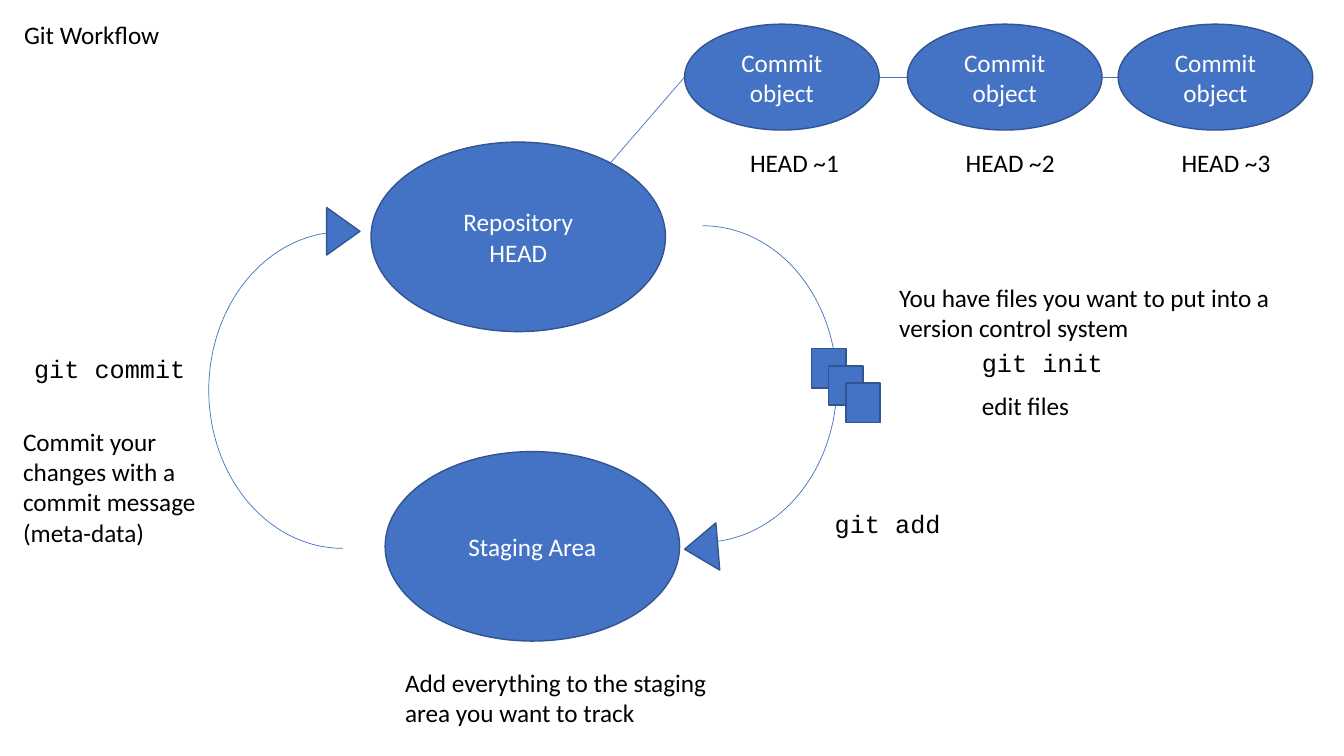
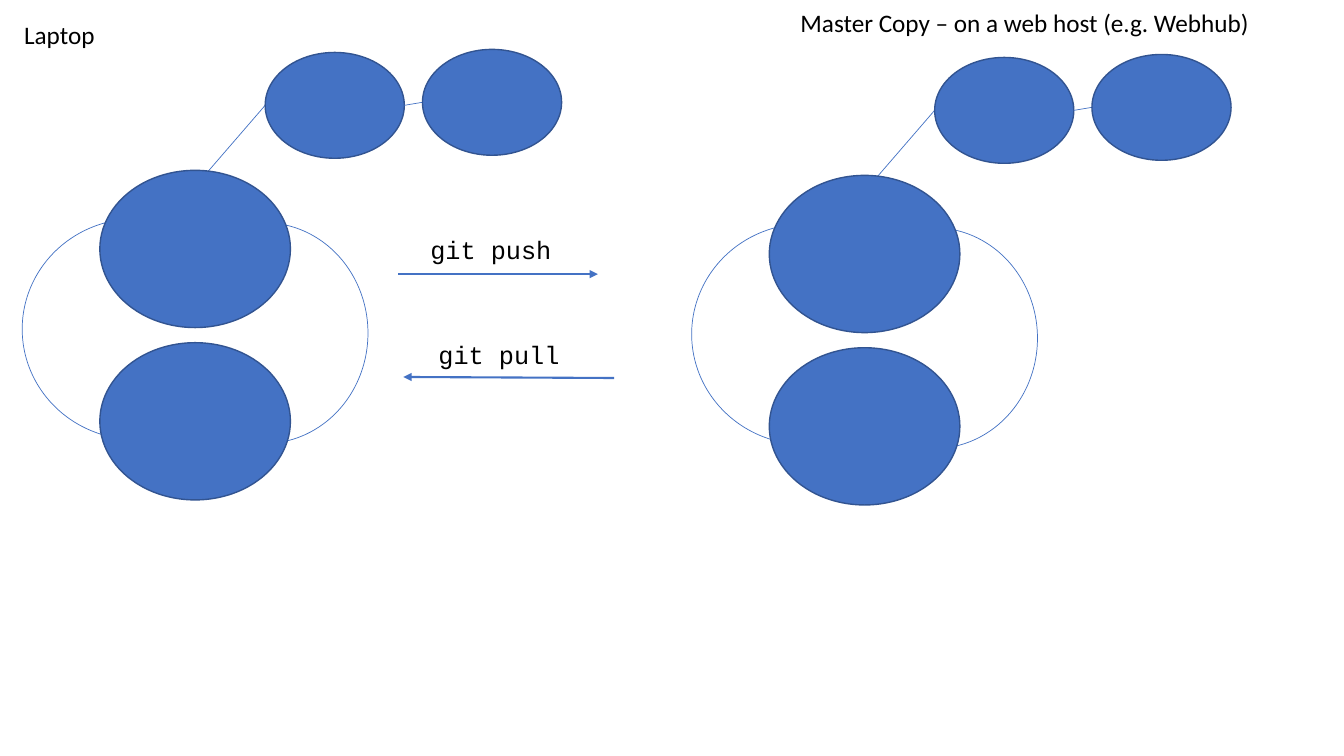
from dataclasses import dataclass

from lxml import etree
from pptx import Presentation
from pptx.dml.color import RGBColor
from pptx.enum.shapes import MSO_CONNECTOR, MSO_SHAPE
from pptx.enum.text import MSO_ANCHOR, MSO_AUTO_SIZE, PP_ALIGN
from pptx.oxml.ns import qn
from pptx.util import Inches, Pt

OVAL, ARC, RECT = MSO_SHAPE.OVAL, MSO_SHAPE.ARC, MSO_SHAPE.RECTANGLE
WEDGE = MSO_SHAPE.ISOSCELES_TRIANGLE
STRAIGHT = MSO_CONNECTOR.STRAIGHT
LEFT, CENTER = PP_ALIGN.LEFT, PP_ALIGN.CENTER
MIDDLE = MSO_ANCHOR.MIDDLE
GROW = MSO_AUTO_SIZE.SHAPE_TO_FIT_TEXT


# Look shared by both slides
@dataclass(frozen=True)
class Theme:
    blue: RGBColor = RGBColor(0x44, 0x72, 0xC4)
    edge: RGBColor = RGBColor(0x32, 0x54, 0x91)
    black: RGBColor = RGBColor(0, 0, 0)
    white: RGBColor = RGBColor(0xFF, 0xFF, 0xFF)
    sans: str = "Calibri"
    mono: str = "Courier New"
    size: float = 18
    thin: float = 0.5
    rim: float = 1
    bold: float = 1.5


THEME = Theme()


@dataclass(frozen=True)
class Box:
    x: float
    y: float
    w: float
    h: float

    @property
    def mid(self) -> float:
        return self.y + self.h / 2

    @property
    def right(self) -> float:
        return self.x + self.w

    def shift(self, dx: float, dy: float) -> "Box":
        return Box(self.x + dx, self.y + dy, self.w, self.h)

    def sides(self) -> tuple:
        return tuple(Inches(n) for n in (self.x, self.y, self.w, self.h))


@dataclass(frozen=True)
class Label:
    text: str
    x: float
    y: float
    w: float
    h: float = 0.4
    font: str = THEME.sans


# Drawing helpers
def write(frame, text: str, *, font: str = THEME.sans, size: float = THEME.size,
          color: RGBColor = THEME.black, align=LEFT) -> None:
    frame.word_wrap = True
    frame.text = text
    for para in frame.paragraphs:
        para.alignment = align
        for run in para.runs:
            run.font.name = font
            run.font.size = Pt(size)
            run.font.color.rgb = color


def note(shapes, label: Label) -> None:
    box = Box(label.x, label.y, label.w, label.h)
    frame = shapes.add_textbox(*box.sides()).text_frame
    write(frame, label.text, font=label.font)
    frame.auto_size = GROW


def solid(shapes, kind, box: Box, text: str = "", turn: float = 0) -> None:
    shape = shapes.add_shape(kind, *box.sides())
    shape.shadow.inherit = False
    shape.rotation = turn
    shape.fill.solid()
    shape.fill.fore_color.rgb = THEME.blue
    shape.line.color.rgb = THEME.edge
    shape.line.width = Pt(THEME.rim)
    if text:
        shape.text_frame.vertical_anchor = MIDDLE
        write(shape.text_frame, text, color=THEME.white, align=CENTER)


def arc(shapes, box: Box, start: float, turn: float = 0) -> None:
    shape = shapes.add_shape(ARC, *box.sides())
    shape.shadow.inherit = False
    shape.rotation = turn
    shape.adjustments[0] = start
    shape.adjustments[1] = 53.51
    shape.fill.background()
    shape.line.color.rgb = THEME.blue
    shape.line.width = Pt(THEME.thin)


def link(shapes, x1: float, y1: float, x2: float, y2: float,
         width: float = THEME.thin, arrow: bool = False) -> None:
    line = shapes.add_connector(STRAIGHT, Inches(x1), Inches(y1), Inches(x2), Inches(y2))
    line.line.color.rgb = THEME.blue
    line.line.width = Pt(width)
    if arrow:
        etree.SubElement(line.line._get_or_add_ln(), qn("a:tailEnd"), type="triangle")
    etree.SubElement(line._element.spPr, qn("a:effectLst"))


def chain(shapes, x: float, y: float, ovals: list[Box], text: str = "") -> None:
    """Draw ovals in a row, each tied to the one before; the first to (x, y)."""
    for oval in ovals:
        link(shapes, x, y, oval.x, oval.mid)
        solid(shapes, OVAL, oval, text)
        x, y = oval.right, oval.mid


# Slide 1: the cycle of files, staging and commits
def draw_flow(shapes) -> None:
    solid(shapes, OVAL, Box(3.68, 1.41, 2.92, 1.88), "Repository\nHEAD")
    solid(shapes, OVAL, Box(3.82, 4.48, 2.92, 1.88), "Staging Area")

    # Round paths with their arrowheads
    arc(shapes, Box(5.64, 2.24, 2.66, 3.14), 162)
    arc(shapes, Box(2.07, 2.3, 2.66, 3.14), 162, turn=180)
    solid(shapes, WEDGE, Box(6.72, 5.27, 0.47, 0.33), turn=265.3)
    solid(shapes, WEDGE, Box(3.17, 2.13, 0.47, 0.33), turn=90)

    # Stack of files
    for i in range(3):
        solid(shapes, RECT, Box(8.05, 3.46, 0.34, 0.39).shift(0.17 * i, 0.17 * i))

    # Past commits
    ovals = [Box(x, 0.24, 1.93, 1.05) for x in (6.79, 9, 11.09)]
    chain(shapes, 6.06, 1.61, ovals, "Commit object")
    for i in range(3):
        note(shapes, Label(f"HEAD ~{i + 1}", 7.34 + 2.14 * i, 1.41, 1.21))

    for label in (
        Label("Git Workflow", 0.14, 0.14, 4.89),
        Label("git add", 8.18, 4.99, 1.96, font=THEME.mono),
        Label("git commit", 0.24, 3.46, 1.96, font=THEME.mono),
        Label("git init", 9.64, 3.4, 2.66, font=THEME.mono),
        Label("edit files", 9.64, 3.82, 2.45),
        Label("You have files you want to put into a version control system",
              8.82, 2.75, 4.28, 0.71),
        Label("Add everything to the staging area you want to track",
              3.92, 6.57, 3.45, 0.71),
        Label("Commit your changes with a commit message (meta-data)",
              0.13, 4.18, 2.25, 1.31),
    ):
        note(shapes, label)


# Slide 2: two copies of the cycle, kept in step
def draw_repo(shapes, dx: float, dy: float) -> None:
    group = shapes.add_group_shape().shapes
    arc(group, Box(0.22, 2.17, 2.25, 2.19).shift(dx, dy), 157.6, turn=180)
    arc(group, Box(1.6, 2.21, 2.05, 2.19).shift(dx, dy), 157.6)
    ovals = [Box(2.63, 0.52, 1.38, 1.05), Box(4.19, 0.49, 1.38, 1.05)]
    chain(group, 1.9 + dx, 1.89 + dy, [oval.shift(dx, dy) for oval in ovals])
    for y in (1.69, 3.4):
        solid(group, OVAL, Box(0.99, y, 1.89, 1.56).shift(dx, dy))


def draw_sync(shapes) -> None:
    for dx, dy in ((0, 0), (6.64, 0.05)):
        draw_repo(shapes, dx, dy)
    link(shapes, 3.95, 2.72, 5.93, 2.72, THEME.bold, arrow=True)
    link(shapes, 6.09, 3.75, 4, 3.74, THEME.bold, arrow=True)
    for label in (
        Label("Laptop", 0.14, 0.14, 1.38),
        Label("Master Copy – on a web host (e.g. Webhub)", 7.84, 0.02, 4.89),
        Label("git push", 4.17, 2.28, 1.92, font=THEME.mono),
        Label("git pull", 4.25, 3.32, 1.92, font=THEME.mono),
    ):
        note(shapes, label)


def main() -> None:
    deck = Presentation()
    deck.slide_width, deck.slide_height = Inches(13.33), Inches(7.5)
    blank = deck.slide_layouts[6]
    for draw in (draw_flow, draw_sync):
        draw(deck.slides.add_slide(blank).shapes)
    deck.save("out.pptx")


if __name__ == "__main__":
    main()
